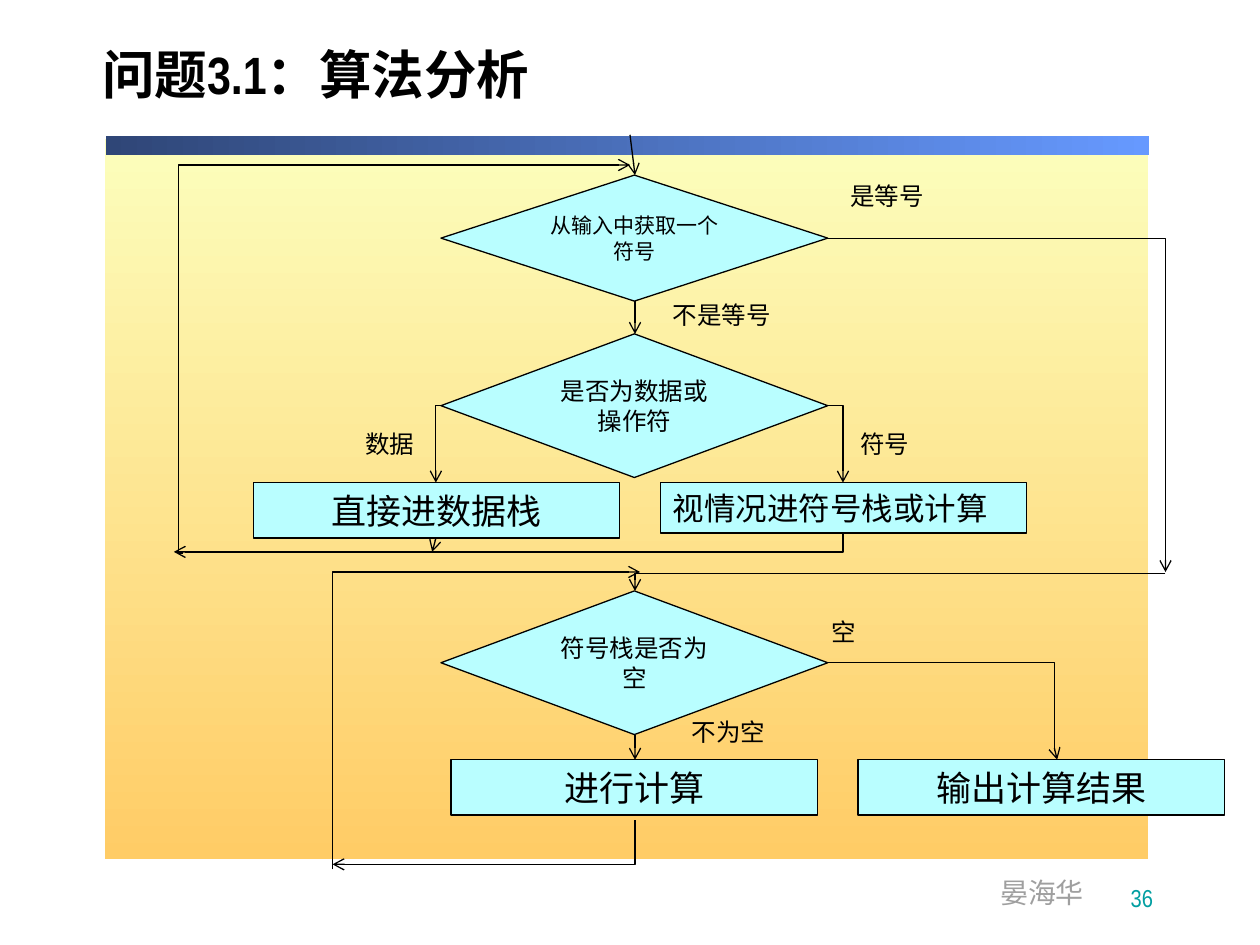
from pptx import Presentation
from pptx.dml.color import RGBColor
from pptx.enum.shapes import MSO_CONNECTOR, MSO_SHAPE
from pptx.enum.text import MSO_ANCHOR, PP_ALIGN
from pptx.oxml.ns import qn
from pptx.util import Inches, Pt
from lxml import etree

RECTANGLE, DECISION = MSO_SHAPE.RECTANGLE, MSO_SHAPE.FLOWCHART_DECISION
STRAIGHT, ELBOW = MSO_CONNECTOR.STRAIGHT, MSO_CONNECTOR.ELBOW
LEFT, CENTER, RIGHT = PP_ALIGN.LEFT, PP_ALIGN.CENTER, PP_ALIGN.RIGHT
TOP, MIDDLE, BOTTOM = MSO_ANCHOR.TOP, MSO_ANCHOR.MIDDLE, MSO_ANCHOR.BOTTOM

BLACK = RGBColor(0x00, 0x00, 0x00)
AQUA = RGBColor(0xB9, 0xFE, 0xFF)
GRAY = RGBColor(0x9F, 0x9F, 0x9F)
TEAL = RGBColor(0x00, 0x9E, 0xA1)
CREAM = RGBColor(0xFC, 0xFE, 0xBC)
ORANGE = RGBColor(0xFF, 0xCC, 0x66)
NAVY = RGBColor(0x2F, 0x46, 0x77)
BLUE = RGBColor(0x66, 0x99, 0xFF)

LATIN_FONT, CHINESE_FONT = "Arial Narrow", "Noto Sans CJK SC"

# Shared positions of the flowchart, in inches
AXIS = 5.04
DECISION_LEFT, DECISION_WIDTH = 3.5, 3.07
DECISION_RIGHT = DECISION_LEFT + DECISION_WIDTH
STEP_WIDTH = 2.91
HORIZONTAL_FIRST, VERTICAL_FIRST = 1, 0


def write(shape, text, size, font=LATIN_FONT, color=BLACK, align=LEFT,
          anchor=TOP, wrap=True, bold=False):
    frame = shape.text_frame
    frame.text = text
    frame.word_wrap = wrap
    frame.vertical_anchor = anchor
    para = frame.paragraphs[0]
    para.alignment = align
    para.font.size = Pt(size)
    para.font.name = font
    para.font.bold = bold
    para.font.color.rgb = color
    for span in para.runs:
        span.font.name = font
        east_asian = etree.SubElement(span.font._element, qn("a:ea"))
        east_asian.set("typeface", CHINESE_FONT)
    return para


def add_label(page, box, text, size=14, **style):
    label = page.shapes.add_textbox(*map(Inches, box))
    write(label, text, size, **style)


def add_gradient(page, box, start, end, angle):
    panel = page.shapes.add_shape(RECTANGLE, *map(Inches, box))
    panel.shadow.inherit = False
    panel.line.fill.background()
    panel.fill.gradient()
    panel.fill.gradient_angle = angle
    for stop, color, position in zip(panel.fill.gradient_stops, (start, end), (0, 1)):
        stop.color.rgb = color
        stop.position = position


def add_node(page, kind, box, text, size, align=CENTER):
    node = page.shapes.add_shape(kind, *map(Inches, box))
    node.shadow.inherit = False
    node.fill.solid()
    node.fill.fore_color.rgb = AQUA
    node.line.color.rgb = BLACK
    node.line.width = Pt(0.75)
    write(node, text, size, CHINESE_FONT, align=align, anchor=MIDDLE)


def add_arrow(page, start, end, bend=None):
    """Straight without bend; otherwise bend is where the elbow turns, as a share of the width."""
    kind = STRAIGHT if bend is None else ELBOW
    arrow = page.shapes.add_connector(kind, *map(Inches, start + end))
    arrow.line.color.rgb = BLACK
    arrow.line.width = Pt(0.75)
    properties = arrow._element.spPr
    if bend is not None:
        guides = properties.find(qn("a:prstGeom")).get_or_add_avLst()
        guide = etree.SubElement(guides, qn("a:gd"))
        guide.set("name", "adj1")
        guide.set("fmla", f"val {round(bend * 100000)}")
    line = properties.find(qn("a:ln"))
    etree.SubElement(line, qn("a:tailEnd")).set("type", "arrow")
    etree.SubElement(properties, qn("a:effectLst"))


def add_background(page, box):
    left, top, width, height = box
    add_gradient(page, box, CREAM, ORANGE, 270)
    add_gradient(page, (left + 0.01, top - 0.02, width, 0.15), NAVY, BLUE, 0)


def add_title(page, box):
    title = page.shapes.title
    title.left, title.top, title.width, title.height = map(Inches, box)
    para = write(title, "问题3.1：算法分析", 30, anchor=MIDDLE, bold=True)
    para.line_spacing = 0.8


def add_footer(page):
    add_label(page, (7.84, 6.9, 0.87, 0.37), "晏海华", 16, color=GRAY, wrap=False)
    add_label(page, (7.36, 6.81, 1.89, 0.48), "36", color=TEAL, align=RIGHT, anchor=BOTTOM)


def add_flowchart(page):
    # Decisions, centred on one axis
    for top, height, text, size in (
        (1.39, 1, "从输入中获取一个符号", 12),
        (2.65, 1.14, "是否为数据或操作符", 14),
        (4.69, 1.14, "符号栈是否为空", 14),
    ):
        add_node(page, DECISION, (DECISION_LEFT, top, DECISION_WIDTH, height), text, size)

    # Steps
    for left, top, height, text, size, align in (
        (2.01, 3.83, 0.44, "直接进数据栈", 20, CENTER),
        (5.24, 3.83, 0.4, "视情况进符号栈或计算", 18, LEFT),
        (3.58, 6.03, 0.44, "进行计算", 20, CENTER),
        (6.81, 6.03, 0.44, "输出计算结果", 20, CENTER),
    ):
        add_node(page, RECTANGLE, (left, top, STEP_WIDTH, height), text, size, align)

    # Straight arrows
    for start, end in (
        ((5, 1.07), (AXIS, 1.39)),
        ((AXIS, 2.39), (AXIS, 2.65)),
        ((3.46, 4.27), (3.43, 4.38)),
        ((AXIS, 5.83), (AXIS, 6.03)),
    ):
        add_arrow(page, start, end)

    # Elbow arrows: branches, then the loops back
    for start, end, bend in (
        ((DECISION_LEFT, 3.22), (3.46, 3.83), HORIZONTAL_FIRST),
        ((DECISION_RIGHT, 3.22), (6.69, 3.83), HORIZONTAL_FIRST),
        ((DECISION_RIGHT, 1.89), (9.25, 4.54), HORIZONTAL_FIRST),
        ((9.25, 4.55), (AXIS, 4.69), HORIZONTAL_FIRST),
        ((DECISION_RIGHT, 5.26), (8.39, 6.03), 0.99),
        ((6.69, 4.23), (1.38, 4.38), VERTICAL_FIRST),
        ((1.45, 4.39), (5, 1.31), -0.01),
        ((AXIS, 6.51), (2.64, 6.86), VERTICAL_FIRST),
        ((2.64, 6.9), (5.08, 4.54), VERTICAL_FIRST),
    ):
        add_arrow(page, start, end, bend)

    # Branch labels
    for left, top, width, text in (
        (5.24, 2.33, 0.99, "不是等号"),
        (6.65, 1.39, 0.79, "是等号"),
        (5.39, 5.64, 0.79, "不为空"),
        (6.5, 4.85, 0.4, "空"),
        (2.8, 3.36, 0.59, "数据"),
        (6.73, 3.36, 0.59, "符号"),
    ):
        add_label(page, (left, top, width, 0.34), text, wrap=False)


def main():
    deck = Presentation()
    deck.slide_width, deck.slide_height = Inches(10), Inches(7.5)
    page = deck.slides.add_slide(deck.slide_layouts[5])
    add_background(page, (0.83, 1.1, 8.28, 5.72))
    add_title(page, (0.71, 0.17, 8.96, 0.92))
    add_footer(page)
    add_flowchart(page)
    deck.save("out.pptx")


if __name__ == "__main__":
    main()
